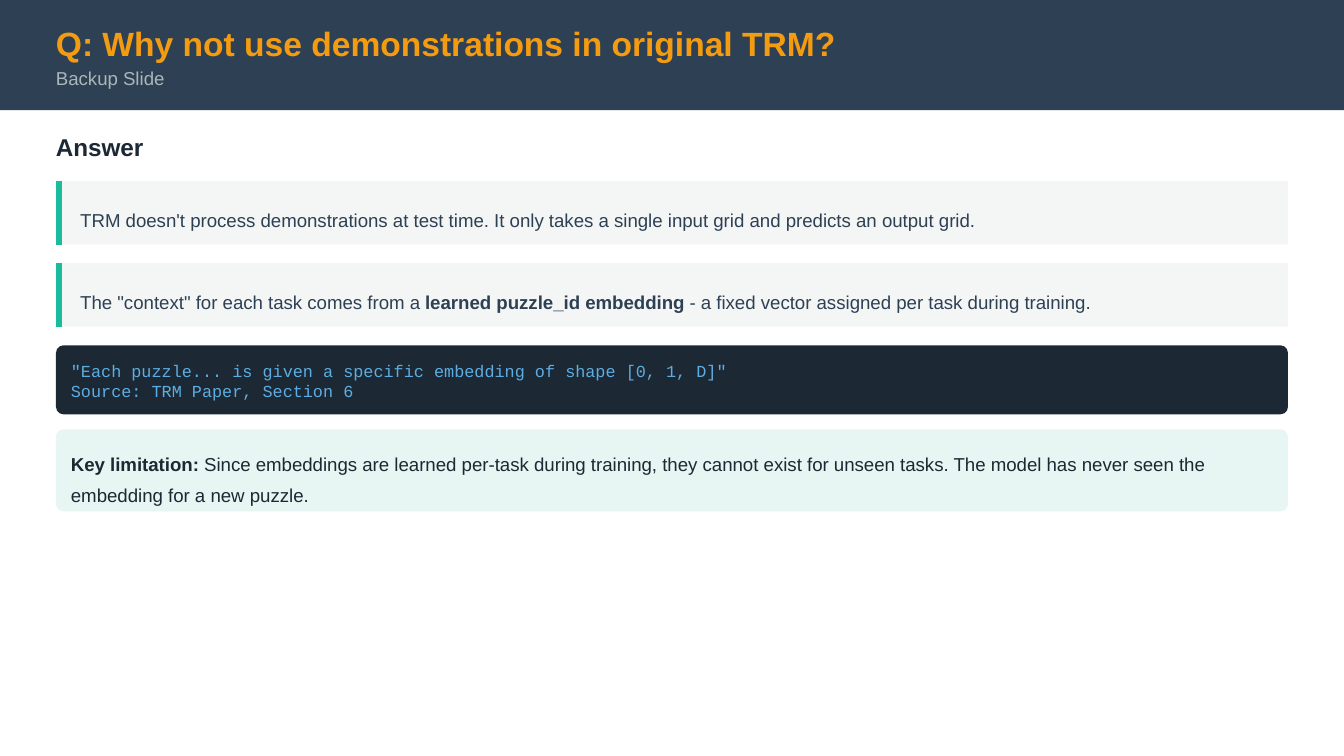
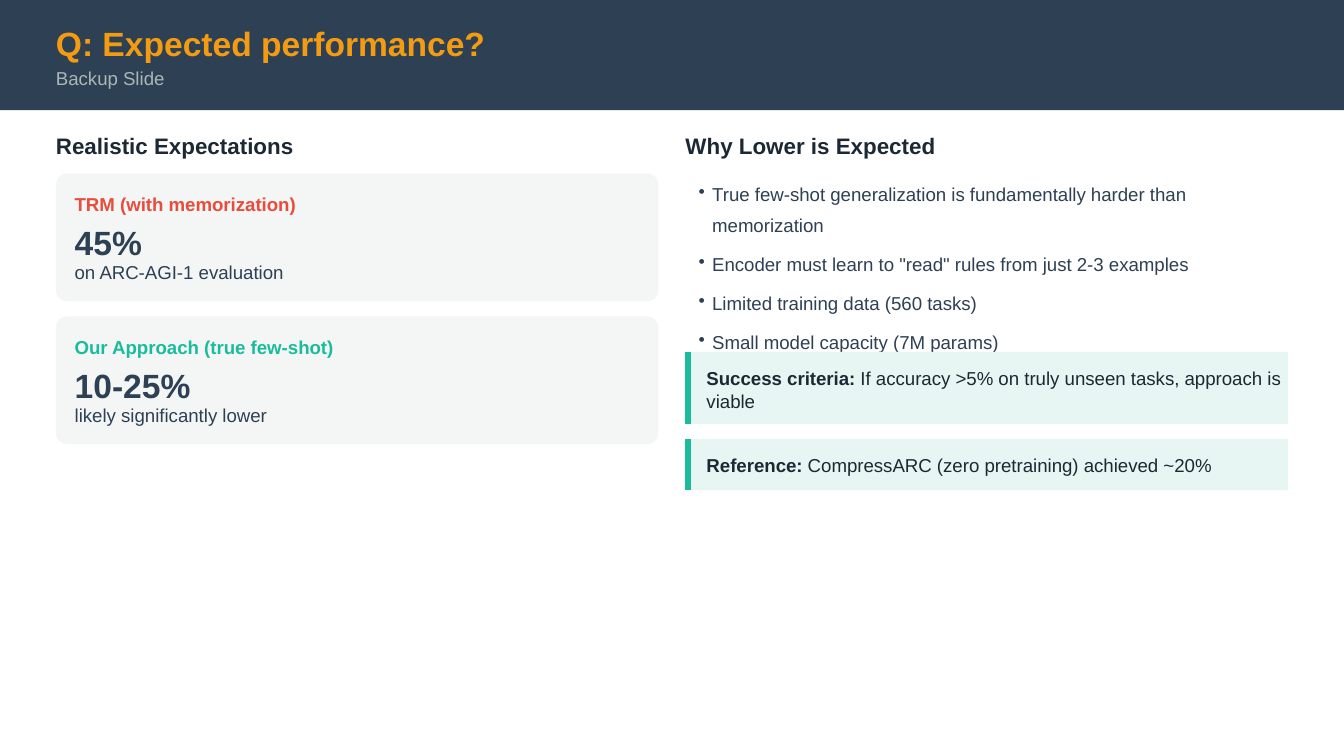
from dataclasses import dataclass

from lxml import etree
from pptx import Presentation
from pptx.dml.color import RGBColor
from pptx.enum import shapes, text
from pptx.oxml.ns import qn
from pptx.util import Pt

NAVY = RGBColor(0x2E, 0x40, 0x53)
INK = RGBColor(0x1C, 0x28, 0x33)
ORANGE = RGBColor(0xF3, 0x9C, 0x12)
SILVER = RGBColor(0xAA, 0xB7, 0xB8)
TEAL = RGBColor(0x1A, 0xBC, 0x9C)
RED = RGBColor(0xE7, 0x4C, 0x3C)
SKY = RGBColor(0x5D, 0xAD, 0xE2)
PALE_GREY = RGBColor(0xF4, 0xF6, 0xF6)
PALE_TEAL = RGBColor(0xE8, 0xF6, 0xF3)

SLIDE_WIDTH, SLIDE_HEIGHT = 720, 405
MARGIN = 30
CONTENT_WIDTH = SLIDE_WIDTH - 2 * MARGIN
COLUMN_GAP = 14.5
COLUMN_WIDTH = (CONTENT_WIDTH - COLUMN_GAP) / 2
RIGHT_COLUMN = MARGIN + COLUMN_WIDTH + COLUMN_GAP
HEADING_TOP = 71
COLUMN_TOP = 93
BULLET_INDENT = 7.2
ACCENT_WIDTH = 3


@dataclass(frozen=True)
class Box:
    left: float
    top: float
    width: float
    height: float


@dataclass(frozen=True)
class Style:
    size: float = 10
    color: RGBColor = NAVY
    bold: bool = False
    font: str = "Arial"
    spacing: float | None = None


@dataclass(frozen=True)
class Result:
    label: str
    color: RGBColor
    score: str
    detail: str


@dataclass(frozen=True)
class Callout:
    """A panel with an accent bar; words between ** marks are bold."""
    words: str
    box: Box
    fill: RGBColor
    text_offset: tuple[float, float]
    style: Style


TITLE = Style(18, ORANGE, True)
SUBTITLE = Style(10, SILVER)
ANSWER_HEADING = Style(13, INK, True)
COLUMN_HEADING = Style(12, INK, True)
BODY = Style()
LOOSE = Style(spacing=1.4)
INK_BODY = Style(color=INK)
INK_LOOSE = Style(color=INK, spacing=1.4)
SCORE = Style(18, NAVY, True)
CODE = Style(9, SKY, font="Courier New")

FACTS = [
    "TRM doesn't process demonstrations at test time. It only takes a single "
    "input grid and predicts an output grid.",
    'The "context" for each task comes from a **learned puzzle_id embedding** '
    "- a fixed vector assigned per task during training.",
]
QUOTE = [
    '"Each puzzle... is given a specific embedding of shape [0, 1, D]"',
    "Source: TRM Paper, Section 6",
]
LIMITATION = (
    "**Key limitation:** Since embeddings are learned per-task during training, "
    "they cannot exist for unseen tasks. The model has never seen the embedding "
    "for a new puzzle."
)
RESULTS = [
    Result("TRM (with memorization)", RED, "45%", "on ARC-AGI-1 evaluation"),
    Result("Our Approach (true few-shot)", TEAL, "10-25%", "likely significantly lower"),
]
REASONS = [
    "True few-shot generalization is fundamentally harder than memorization",
    'Encoder must learn to "read" rules from just 2-3 examples',
    "Limited training data (560 tasks)",
    "Small model capacity (7M params)",
]
CONCLUSIONS = [
    Callout("**Success criteria:** If accuracy >5% on truly unseen tasks, approach is viable",
            Box(RIGHT_COLUMN, 188.6, COLUMN_WIDTH, 38.5), PALE_TEAL, (11.25, 8), INK_BODY),
    Callout("**Reference:** CompressARC (zero pretraining) achieved ~20%",
            Box(RIGHT_COLUMN, 235.2, COLUMN_WIDTH, 27.4), PALE_TEAL, (11.25, 8), INK_BODY),
]


def place(box: Box) -> tuple[Pt, Pt, Pt, Pt]:
    return Pt(box.left), Pt(box.top), Pt(box.width), Pt(box.height)


def add_panel(slide, box: Box, fill: RGBColor, radius: float = 0):
    kind = shapes.MSO_SHAPE.ROUNDED_RECTANGLE if radius else shapes.MSO_SHAPE.RECTANGLE
    panel = slide.shapes.add_shape(kind, *place(box))
    if radius:
        panel.adjustments[0] = radius / min(box.width, box.height)
    panel.shadow.inherit = False
    panel.fill.solid()
    panel.fill.fore_color.rgb = fill
    panel.line.fill.background()


def write(paragraph, words: str, style: Style):
    """Fill a paragraph, setting words between ** marks in bold."""
    if style.spacing:
        paragraph.line_spacing = style.spacing
    for index, part in enumerate(words.split("**")):
        if not part:
            continue
        run = paragraph.add_run()
        run.text = part
        run.font.name = style.font
        run.font.size = Pt(style.size)
        run.font.bold = style.bold or index % 2 == 1
        run.font.color.rgb = style.color


def add_frame(slide, box: Box):
    """Add a wrapping text box without margins and return its text frame."""
    frame = slide.shapes.add_textbox(*place(box)).text_frame
    frame.word_wrap = True
    frame.vertical_anchor = text.MSO_ANCHOR.TOP
    frame.margin_left = frame.margin_right = frame.margin_top = frame.margin_bottom = 0
    return frame


def add_text(slide, box: Box, words: str, style: Style):
    write(add_frame(slide, box).paragraphs[0], words, style)


def add_bullet(paragraph):
    props = paragraph._p.get_or_add_pPr()
    props.set("marL", str(Pt(BULLET_INDENT)))
    props.set("indent", str(-Pt(BULLET_INDENT)))
    color = etree.SubElement(props, qn("a:buClr"))
    etree.SubElement(color, qn("a:srgbClr")).set("val", str(NAVY))
    etree.SubElement(props, qn("a:buChar")).set("char", "•")


def add_bullets(slide, box: Box, items: list[str]):
    frame = add_frame(slide, box)
    frame.margin_left = Pt(BULLET_INDENT)
    for index, item in enumerate(items):
        paragraph = frame.add_paragraph() if index else frame.paragraphs[0]
        add_bullet(paragraph)
        if index:
            paragraph.space_before = Pt(4)
        write(paragraph, item, LOOSE)


def add_accent(slide, box: Box):
    x = Pt(box.left + ACCENT_WIDTH / 2)
    accent = slide.shapes.add_connector(
        shapes.MSO_CONNECTOR.STRAIGHT, x, Pt(box.top), x, Pt(box.top + box.height))
    accent.line.color.rgb = TEAL
    accent.line.width = Pt(ACCENT_WIDTH)
    etree.SubElement(accent._element.spPr, qn("a:effectLst"))


def add_callout(slide, callout: Callout):
    box = callout.box
    dx, dy = callout.text_offset
    add_panel(slide, box, callout.fill)
    add_accent(slide, box)
    add_text(slide, Box(box.left + dx, box.top + dy, box.width - dx - 2, box.height - 2 * dy),
             callout.words, callout.style)


def add_result(slide, box: Box, result: Result):
    add_panel(slide, box, PALE_GREY, radius=6)
    lines = [
        (10.3, 11.5, result.label, Style(color=result.color, bold=True)),
        (26, 21, result.score, SCORE),
        (47, 11.5, result.detail, BODY),
    ]
    for offset, height, words, style in lines:
        add_text(slide, Box(box.left + 10, box.top + offset, 309, height), words, style)


def start_slide(deck, question: str):
    """Add a blank slide with the title band."""
    slide = deck.slides.add_slide(deck.slide_layouts[6])
    slide.background.fill.solid()
    slide.background.fill.fore_color.rgb = RGBColor(0xFF, 0xFF, 0xFF)
    add_panel(slide, Box(0, 0, SLIDE_WIDTH, 59), NAVY)
    add_text(slide, Box(MARGIN, 12.4, 673, 21), question, TITLE)
    add_text(slide, Box(MARGIN, 36, 673, 11.5), "Backup Slide", SUBTITLE)
    return slide


def build_demonstrations(deck):
    slide = start_slide(deck, "Q: Why not use demonstrations in original TRM?")
    add_text(slide, Box(MARGIN, HEADING_TOP, 673, 16), "Answer", ANSWER_HEADING)
    for index, fact in enumerate(FACTS):
        box = Box(MARGIN, 97 + 44 * index, CONTENT_WIDTH, 34)
        add_callout(slide, Callout(fact, box, PALE_GREY, (13, 10.2), LOOSE))

    add_panel(slide, Box(MARGIN, 185, CONTENT_WIDTH, 37), INK, radius=4)
    for index, line in enumerate(QUOTE):
        add_text(slide, Box(38, 193 + 10.8 * index, 656, 10.8), line, CODE)

    add_panel(slide, Box(MARGIN, 230, CONTENT_WIDTH, 44), PALE_TEAL, radius=4)
    add_text(slide, Box(38, 237.8, 656, 28), LIMITATION, INK_LOOSE)


def build_performance(deck):
    slide = start_slide(deck, "Q: Expected performance?")
    headings = [(MARGIN, "Realistic Expectations"), (RIGHT_COLUMN, "Why Lower is Expected")]
    for left, heading in headings:
        add_text(slide, Box(left, HEADING_TOP, 329, 14), heading, COLUMN_HEADING)
    for index, result in enumerate(RESULTS):
        add_result(slide, Box(MARGIN, COLUMN_TOP + 76.5 * index, COLUMN_WIDTH, 68.4), result)
    add_bullets(slide, Box(RIGHT_COLUMN, COLUMN_TOP, COLUMN_WIDTH, 82), REASONS)
    for conclusion in CONCLUSIONS:
        add_callout(slide, conclusion)


def main():
    deck = Presentation()
    deck.slide_width, deck.slide_height = Pt(SLIDE_WIDTH), Pt(SLIDE_HEIGHT)
    build_demonstrations(deck)
    build_performance(deck)
    deck.save("out.pptx")


if __name__ == "__main__":
    main()
